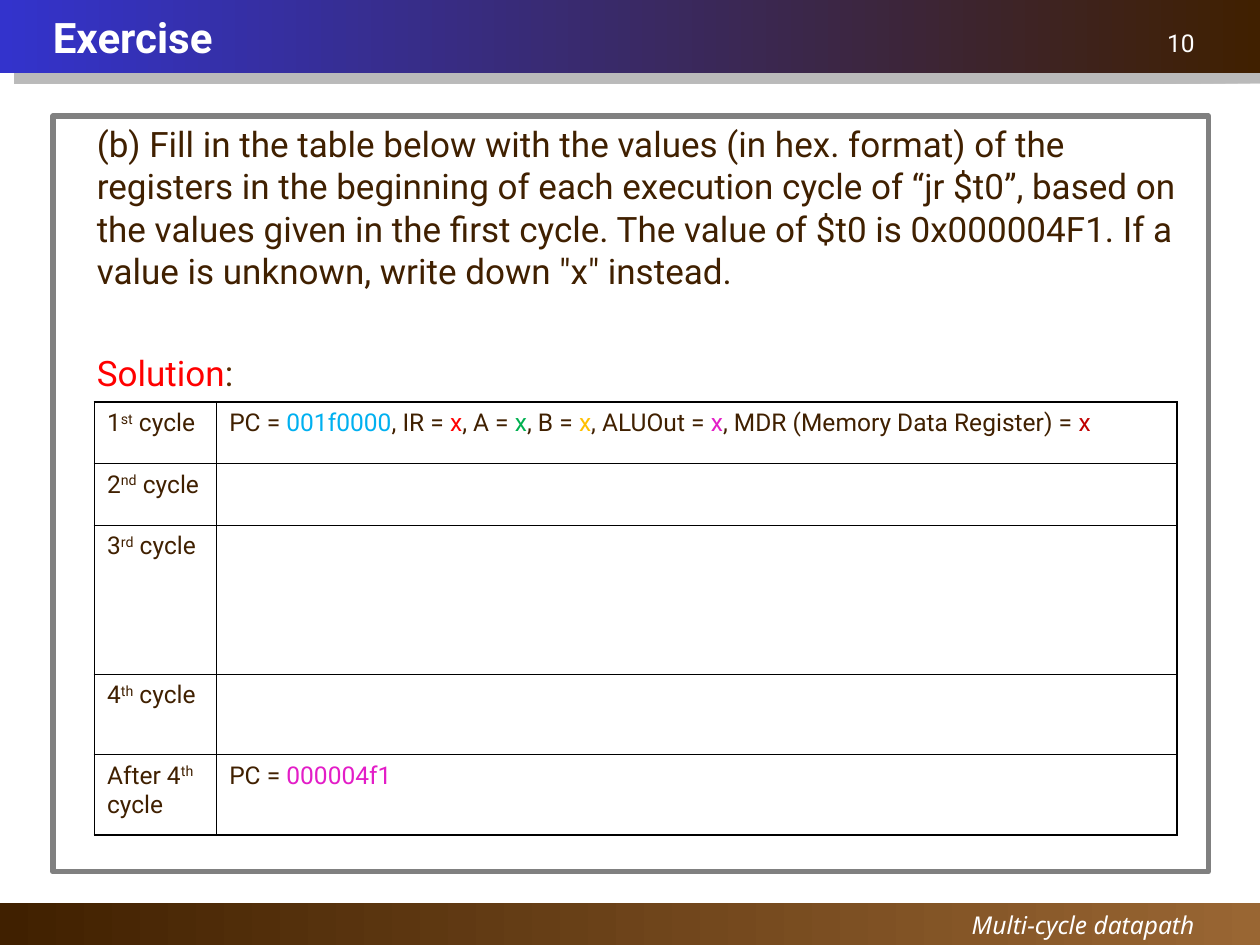
from dataclasses import dataclass

from lxml.etree import SubElement
from pptx import Presentation
from pptx.dml.color import RGBColor
from pptx.enum.shapes import MSO_SHAPE
from pptx.enum.text import MSO_ANCHOR, PP_ALIGN
from pptx.oxml import parse_xml
from pptx.oxml.ns import nsdecls, qn
from pptx.util import Inches, Pt


@dataclass(frozen=True)
class Theme:
    font: str = "Roboto"
    foot_font: str = "Noto Sans"
    head: int = 24
    body: int = 20
    small: int = 14
    ink: str = "402000"
    tan: str = "996633"
    blue: str = "3333CC"
    white: str = "FFFFFF"
    frame: str = "808080"
    shade: str = "777777"
    rule: str = "000000"
    red: str = "FF0000"
    colon: str = "582C00"
    sky: str = "00B0F0"
    green: str = "00B050"
    gold: str = "FFC000"
    pink: str = "E31DC7"
    wine: str = "C00000"


def grid(n):
    """Length of n grid units; the slide is 120 columns by 90 rows."""
    return Inches(round(n / 12, 2))


class Deck:
    def __init__(self, theme):
        self.theme = theme
        self.file = Presentation()
        self.file.slide_width, self.file.slide_height = grid(120), grid(90)
        self.slide = self.file.slides.add_slide(self.file.slide_layouts[6])

    def rect(self, *box):
        shape = self.slide.shapes.add_shape(MSO_SHAPE.RECTANGLE, *map(grid, box))
        shape.shadow.inherit = False
        return shape

    def band(self, top, high, right, left, shadow=False):
        """Full-width bar that fades from the right colour to the left one."""
        bar = self.rect(0, top, 120, high)
        bar.line.fill.background()
        bar.fill.gradient()
        bar.fill.gradient_angle = 180
        for stop, tint in zip(bar.fill.gradient_stops, (right, left)):
            stop.color.rgb = RGBColor.from_string(tint)
        if shadow:
            effects = bar._element.spPr.find(qn("a:effectLst"))
            effects.append(parse_xml(
                f'<a:outerShdw {nsdecls("a")} blurRad="0" dist="{Pt(10.4)}" '
                f'dir="{35 * 60000}" algn="ctr" rotWithShape="0">'
                f'<a:srgbClr val="{self.theme.shade}"><a:alpha val="50000"/>'
                '</a:srgbClr></a:outerShdw>'))

    def frame(self, *box):
        shape = self.rect(*box)
        shape.fill.background()
        shape.line.color.rgb = RGBColor.from_string(self.theme.frame)
        shape.line.width = Pt(3)
        shape.text_frame.word_wrap = True
        shape.text_frame.vertical_anchor = MSO_ANCHOR.TOP
        return shape.text_frame

    def label(self, box, words, size, inset=True, align=PP_ALIGN.RIGHT, **style):
        frame = self.slide.shapes.add_textbox(*map(grid, box)).text_frame
        frame.word_wrap = True
        if not inset:
            frame.margin_left = frame.margin_right = 0
            frame.margin_top = frame.margin_bottom = 0
            frame.vertical_anchor = MSO_ANCHOR.MIDDLE
        para = frame.paragraphs[0]
        para.alignment = align
        self.run(para, words, size, self.theme.white, **style)

    def run(self, para, words, size, tint=None, font=None, bold=False,
            slant=False, base=0):
        run = para.add_run()
        run.text = words
        run.font.size = Pt(size)
        run.font.name = font or self.theme.font
        run.font.bold, run.font.italic = bold, slant
        run.font.color.rgb = RGBColor.from_string(tint or self.theme.ink)
        if base:
            run._r.get_or_add_rPr().set("baseline", str(base * 1000))

    def para(self, para, parts, size, indent=0, gap=0):
        """Fill a paragraph with (words, style) parts."""
        para.alignment = PP_ALIGN.LEFT
        para.line_spacing = 1.01
        if gap:
            para.space_before = Pt(gap)
        if indent:
            props = para._p.get_or_add_pPr()
            props.set("marL", str(grid(indent)))
            props.set("indent", "0")
        for words, style in parts:
            self.run(para, words, size, **style)

    def border(self, cell, sides):
        """Rule a cell; sides holds the left, right, top, bottom widths."""
        props = cell._tc.get_or_add_tcPr()
        for spot, (side, width) in enumerate(zip("LRTB", sides)):
            line = props.makeelement(qn(f"a:ln{side}"), {"w": str(Pt(width))})
            fill = SubElement(line, qn("a:solidFill"))
            SubElement(fill, qn("a:srgbClr"), val=self.theme.rule)
            props.insert(spot, line)

    def table(self, left, top, cols, rows, texts):
        table = self.slide.shapes.add_table(
            len(rows), len(cols), *map(grid, (left, top, sum(cols), sum(rows)))).table
        table.first_row = table.horz_banding = False
        for col, width in zip(table.columns, cols):
            col.width = grid(width)
        for row, height in zip(table.rows, rows):
            row.height = grid(height)
        thin, thick = 0.45, 1.08
        for y, line in enumerate(texts):
            for x, parts in enumerate(line):
                cell = table.cell(y, x)
                cell.fill.background()
                edges = (x == 0, x == len(cols) - 1, y == 0, y == len(rows) - 1)
                self.border(cell, [thick if edge else thin for edge in edges])
                self.para(cell.text_frame.paragraphs[0], parts, self.theme.small)


def cycle(count, suffix):
    return [(count, {}), (suffix, {"base": 30}), (" cycle", {})]


def values(*pairs):
    """Parts for a list of registers, each value in its own colour."""
    parts = []
    for spot, (name, value, tint) in enumerate(pairs):
        parts += [((", " if spot else "") + name + " = ", {}), (value, {"tint": tint})]
    return parts


def main():
    theme = Theme()
    deck = Deck(theme)
    deck.band(0, 7, theme.ink, theme.blue, shadow=True)
    deck.band(86, 4, theme.tan, theme.ink)
    deck.label((55, 86, 60, 4), "Multi-cycle datapath", theme.small,
               font=theme.foot_font, slant=True)
    deck.label((90, 2, 25, 4), "10", theme.small)
    deck.label((5, 0, 110, 7), "Exercise", theme.head, inset=False,
               align=PP_ALIGN.LEFT, bold=True)

    body = deck.frame(5, 11, 110, 72)
    task = ("(b) Fill in the table below with the values (in hex. format) of the "
            "registers in the beginning of each execution cycle of “jr $t0”, based "
            "on the values given in the first cycle. The value of $t0 is "
            "0x000004F1. If a value is unknown, write down \"x\" instead.")
    deck.para(body.paragraphs[0], [(task, {})], theme.body, indent=3)
    deck.para(body.add_paragraph(),
              [("Solution", {"tint": theme.red}), (":", {"tint": theme.colon})],
              theme.body, indent=3, gap=34)

    start = values(("PC", "001f0000", theme.sky), ("IR", "x", theme.red),
                   ("A", "x", theme.green), ("B", "x", theme.gold),
                   ("ALUOut", "x", theme.pink),
                   ("MDR (Memory Data Register)", "x", theme.wine))
    deck.table(9, 38.3, (11.6, 91.4), (5.9, 5.9, 14.2, 7.7, 7.7), [
        (cycle("1", "st"), start),
        (cycle("2", "nd"), []),
        (cycle("3", "rd"), []),
        (cycle("4", "th"), []),
        (cycle("After 4", "th"), values(("PC", "000004f1", theme.pink))),
    ])
    deck.file.save("out.pptx")


if __name__ == "__main__":
    main()
